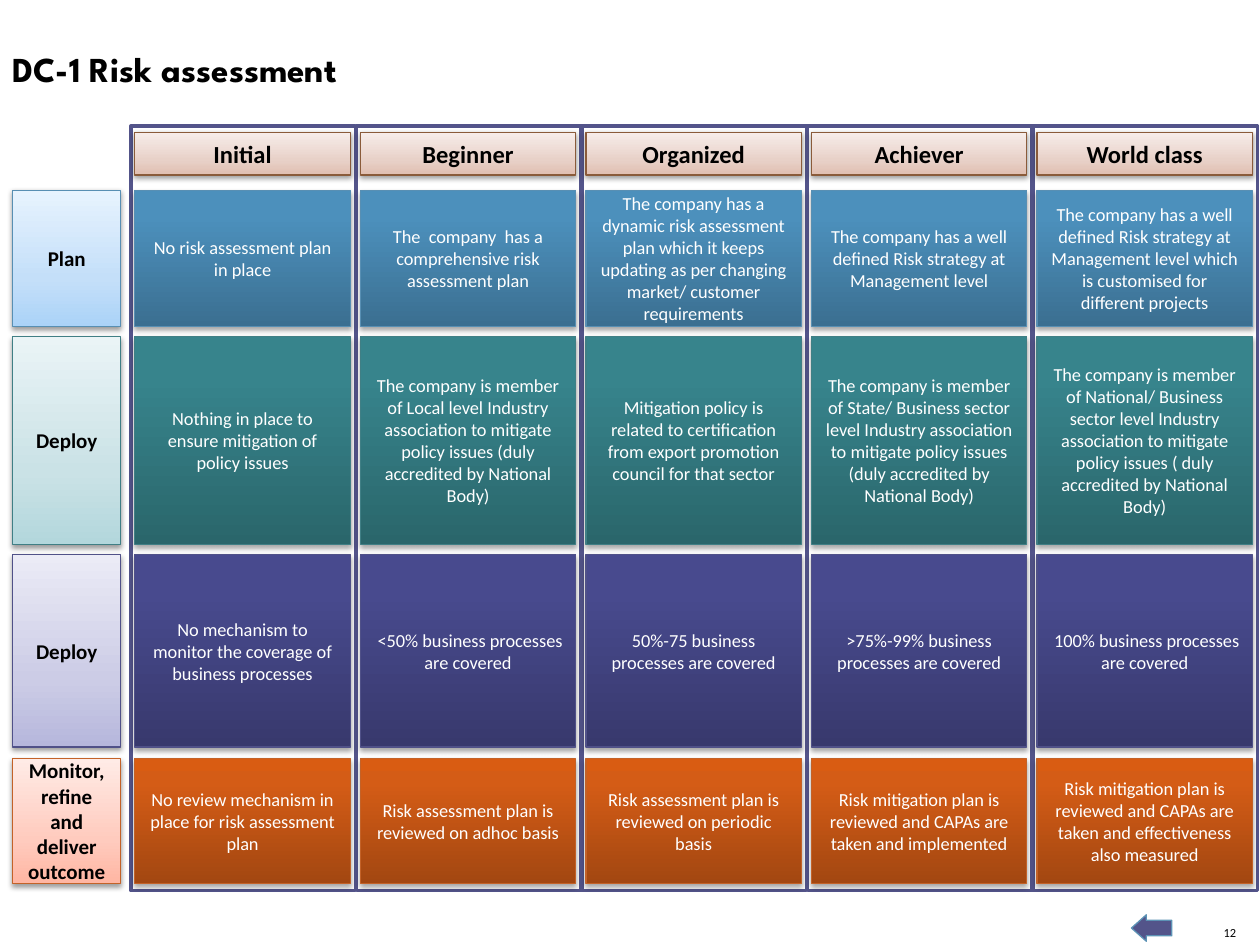
from copy import deepcopy

from pptx import Presentation
from pptx.dml.color import RGBColor
from pptx.enum.shapes import MSO_SHAPE as Shape
from pptx.enum.text import MSO_ANCHOR as Anchor, MSO_AUTO_SIZE as AutoSize, PP_ALIGN as Align
from pptx.oxml import parse_xml
from pptx.oxml.ns import nsdecls, qn
from pptx.util import Inches, Pt

COLUMN_PITCH = 1.79
PANEL_LEFT, PANEL_TOP, PANEL_WIDTH, PANEL_HEIGHT = 1.04, 1, 1.78, 6.07
CELL_INSET, CELL_WIDTH = 0.03, 1.71
LABEL_LEFT, LABEL_WIDTH = 0.1, 0.86
HEADER_TOP, HEADER_HEIGHT = 1.05, 0.34

HEADER_FONT = {"name": "Calibri", "size": Pt(14), "bold": True}
LABEL_FONT = {"name": "Calibri", "size": Pt(12), "bold": True}
CELL_FONT = {"name": "Calibri", "size": Pt(10.5)}
TITLE_FONT = {"name": "League Spartan", "size": Pt(20), "bold": True}
NUMBER_FONT = {"name": "Calibri", "size": Pt(7.1)}

# Stop positions, shadow opacity in percent and shadow distance in points
LIGHT = {"positions": (0, 0.35, 1), "opacity": 38, "distance": 1.6}
DARK = {"positions": (0, 0.8, 1), "opacity": 35, "distance": 1.8}

HEADERS = ["Initial", "Beginner", "Organized", "Achiever", "World class"]
HEADER_COLORS = ("E0BEB0", "E8D1C8", "F7EDEA")

ROWS = [
    {"label": "Plan", "top": 1.51, "height": 1.08, "line": "588FB3",
     "light": ("ABD3F8", "C4DFF9", "E7F3FE"), "dark": ("3B6F91", "4C90BC", "4A91BF"),
     "cells": [
         "No risk assessment plan in place",
         "The  company  has a comprehensive risk assessment plan",
         "The company has a dynamic risk assessment plan which it keeps updating "
         "as per changing market/ customer requirements",
         "The company has a well defined Risk strategy at Management level",
         "The company has a well defined Risk strategy at Management level "
         "which is customised for different projects"]},
    {"label": "Deploy", "top": 2.67, "height": 1.65, "line": "407F85",
     "light": ("B3D7DC", "CAE2E6", "EAF4F6"), "dark": ("2A666B", "37848C", "36868E"),
     "cells": [
         "Nothing in place to ensure mitigation of policy issues",
         "The company is member of Local level Industry association to mitigate "
         "policy issues (duly accredited by National Body)",
         "Mitigation policy is related to certification from export promotion "
         "council for that sector",
         "The company is member of State/ Business sector level Industry association "
         "to mitigate policy issues (duly accredited by National Body)",
         "The company is member of National/ Business sector level Industry association "
         "to mitigate policy issues ( duly accredited by National Body)"]},
    {"label": "Deploy", "top": 4.4, "height": 1.53, "line": "505188",
     "light": ("B6B7DC", "CCCCE6", "EBEBF6"), "dark": ("38396D", "484A8E", "474990"),
     "cells": [
         "No mechanism to monitor the coverage of business processes",
         " <50% business processes are covered",
         "50%-75 business processes are covered",
         ">75%-99% business processes are covered",
         " 100% business processes are covered"]},
    {"label": "Monitor, refine and deliver outcome", "top": 6.02, "height": 0.99,
     "line": "C36228",
     "light": ("FFB6A3", "FFCBBE", "FFEBE6"), "dark": ("A34711", "D45C16", "D95C12"),
     "cells": [
         "No review mechanism in place for risk assessment plan",
         "Risk assessment plan is reviewed on adhoc basis",
         "Risk assessment plan is reviewed on periodic basis",
         "Risk mitigation plan is reviewed and CAPAs are taken and implemented",
         "Risk mitigation plan is reviewed and CAPAs are taken and effectiveness "
         "also measured"]},
]


def color(hex_value):
    return RGBColor.from_string(hex_value)


def write_text(frame, text, font_format, hex_color, align):
    frame.word_wrap = True
    paragraph = frame.paragraphs[0]
    paragraph.alignment = align
    run = paragraph.add_run()
    run.text = text
    for name, value in font_format.items():
        setattr(run.font, name, value)
    run.font.color.rgb = color(hex_color)


def add_outlined_shape(slide, kind, box, line_color, line_width):
    shape = slide.shapes.add_shape(kind, *map(Inches, box))
    shape.shadow.inherit = False
    shape.line.color.rgb = color(line_color)
    shape.line.width = Pt(line_width)
    return shape


def add_solid_shape(slide, kind, box, fill_color, line_color, line_width):
    shape = add_outlined_shape(slide, kind, box, line_color, line_width)
    shape.fill.solid()
    shape.fill.fore_color.rgb = color(fill_color)
    return shape


def fill_gradient(shape, colors, positions):
    """Fill with three stops running from bottom to top."""
    shape.fill.gradient()
    shape.fill.gradient_angle = 90
    stop_list = shape._element.spPr.find(qn("a:gradFill")).find(qn("a:gsLst"))
    stop_list.append(deepcopy(stop_list[0]))
    for stop, hex_value, position in zip(shape.fill.gradient_stops, colors, positions):
        stop.color.rgb = color(hex_value)
        stop.position = position


def add_shadow(shape, opacity, distance):
    effects = shape._element.spPr.find(qn("a:effectLst"))
    effects.append(parse_xml(
        f'<a:outerShdw {nsdecls("a")} blurRad="{Pt(3.1)}" dist="{Pt(distance)}" '
        f'dir="5400000" rotWithShape="0"><a:srgbClr val="000000">'
        f'<a:alpha val="{opacity * 1000}"/></a:srgbClr></a:outerShdw>'))


def add_tile(slide, box, text, font_format, text_color, colors, line_color, style):
    shape = add_outlined_shape(slide, Shape.RECTANGLE, box, line_color, 0.75)
    fill_gradient(shape, colors, style["positions"])
    add_shadow(shape, style["opacity"], style["distance"])
    shape.text_frame.vertical_anchor = Anchor.MIDDLE
    write_text(shape.text_frame, text, font_format, text_color, Align.CENTER)


def add_title(slide, box):
    frame = slide.shapes.add_textbox(*map(Inches, box)).text_frame
    write_text(frame, "DC-1 Risk assessment", TITLE_FONT, "000000", Align.LEFT)


def add_panels(slide, left):
    for column in range(len(HEADERS)):
        box = (left + column * COLUMN_PITCH, PANEL_TOP, PANEL_WIDTH, PANEL_HEIGHT)
        add_solid_shape(slide, Shape.RECTANGLE, box, "FFFFFF", "53548A", 2)


def add_tile_row(slide, left, top, height, texts, *look):
    for column, text in enumerate(texts):
        box = (left + column * COLUMN_PITCH, top, CELL_WIDTH, height)
        add_tile(slide, box, text, *look)


def add_matrix(slide):
    for row in ROWS:
        box = (LABEL_LEFT, row["top"], LABEL_WIDTH, row["height"])
        add_tile(slide, box, row["label"], LABEL_FONT, "000000",
                 row["light"], row["line"], LIGHT)
    add_panels(slide, PANEL_LEFT)
    cell_left = PANEL_LEFT + CELL_INSET
    for row in ROWS:
        add_tile_row(slide, cell_left, row["top"], row["height"], row["cells"],
                     CELL_FONT, "FFFFFF", row["dark"], row["line"], DARK)
    add_tile_row(slide, cell_left, HEADER_TOP, HEADER_HEIGHT, HEADERS,
                 HEADER_FONT, "000000", HEADER_COLORS, "8A5B3A", LIGHT)


def add_footer(slide, number_box, arrow_box):
    frame = slide.shapes.add_textbox(*map(Inches, number_box)).text_frame
    write_text(frame, "12", NUMBER_FONT, "000000", Align.RIGHT)
    frame_format = {"margin_left": 0, "margin_top": 0, "margin_right": 0,
                    "margin_bottom": 0, "word_wrap": False,
                    "vertical_anchor": Anchor.BOTTOM,
                    "auto_size": AutoSize.SHAPE_TO_FIT_TEXT}
    for name, value in frame_format.items():
        setattr(frame, name, value)
    arrow = add_solid_shape(slide, Shape.RIGHT_ARROW, arrow_box, "53548A", "5C92B5", 0.75)
    arrow.rotation = 180
    arrow.adjustments[0] = 0.59
    arrow.adjustments[1] = 0.56


def main():
    presentation = Presentation()
    presentation.slide_width = Inches(10)
    presentation.slide_height = Inches(7.5)
    slide = presentation.slides.add_slide(presentation.slide_layouts[6])
    add_footer(slide, (9.69, 7.34, 0.12, 0.12), (8.98, 7.26, 0.32, 0.21))
    add_title(slide, (0, 0.33, 8.6, 0.44))
    add_matrix(slide)
    presentation.save("out.pptx")


if __name__ == "__main__":
    main()
